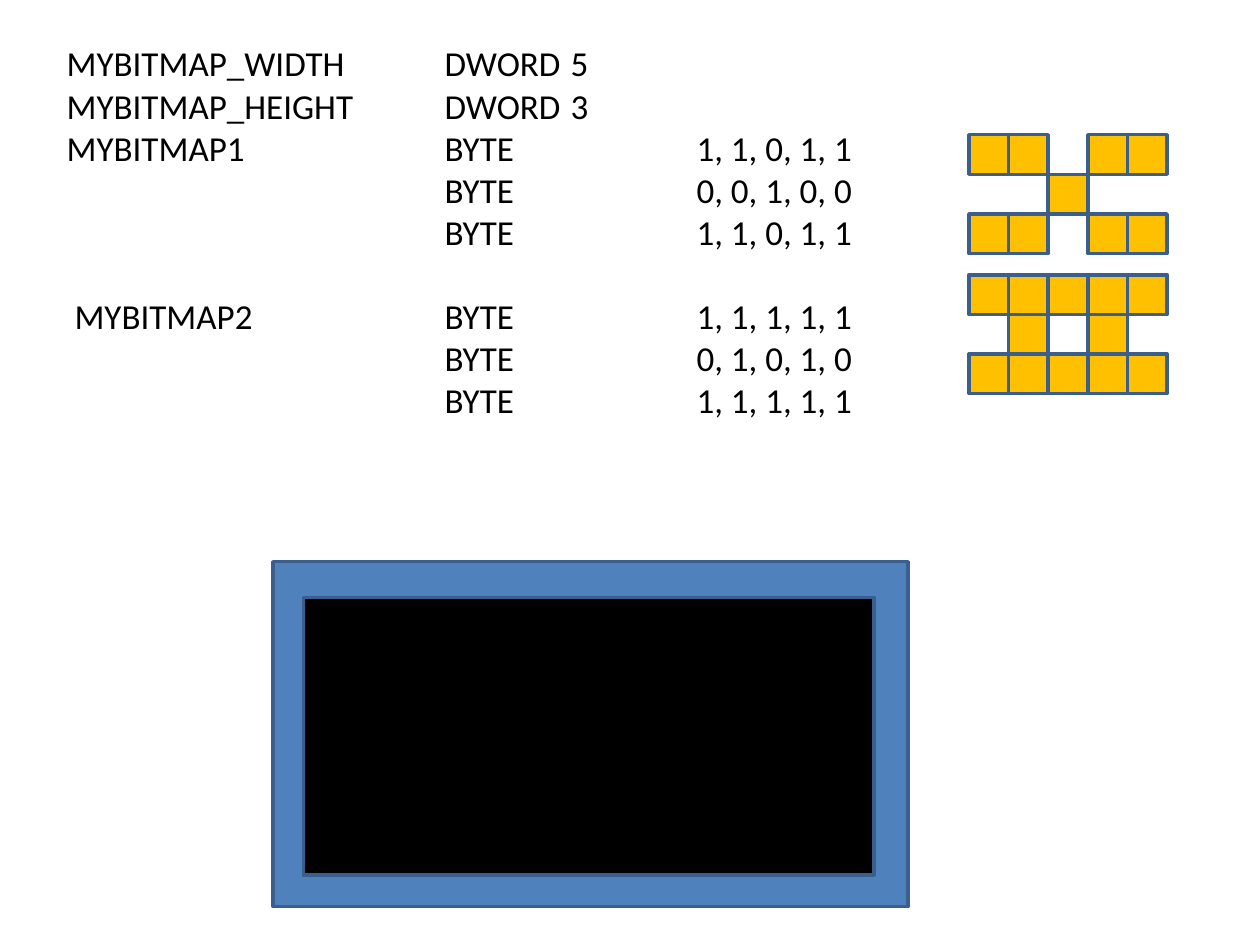
from pptx import Presentation
from pptx.dml.color import RGBColor
from pptx.enum.shapes import MSO_SHAPE
from pptx.enum.text import MSO_ANCHOR
from pptx.util import Pt
from lxml import etree

RECTANGLE = MSO_SHAPE.RECTANGLE
TOP = MSO_ANCHOR.TOP
DRAWING = "{http://schemas.openxmlformats.org/drawingml/2006/main}"
COLORS = {"text": "000000", "frame": "4F81BD", "screen": "000000",
          "pixel": "FFC000", "line": "3A5F8C"}

deck = Presentation()
deck.slide_width, deck.slide_height = Pt(720), Pt(540)
page = deck.slides.add_slide(deck.slide_layouts[6])


def add_rectangle(shapes, left, top, width, height, color):
    box = shapes.add_shape(RECTANGLE, Pt(left), Pt(top), Pt(width), Pt(height))
    box.shadow.inherit = False
    box.fill.solid()
    box.fill.fore_color.rgb = RGBColor.from_string(COLORS[color])
    box.line.color.rgb = RGBColor.from_string(COLORS["line"])
    box.line.width = Pt(2)
    return box


# Data declarations: name, type, value
declarations = [
    ("MYBITMAP_WIDTH", "DWORD", "5"),
    ("MYBITMAP_HEIGHT", "DWORD", "3"),
    ("MYBITMAP1", "BYTE", "1, 1, 0, 1, 1"),
    ("", "BYTE", "0, 0, 1, 0, 0"),
    ("", "BYTE", "1, 1, 0, 1, 1"),
    (" MYBITMAP2", "BYTE", "1, 1, 1, 1, 1"),
    ("", "BYTE", "0, 1, 0, 1, 0"),
    ("", "BYTE", "1, 1, 1, 1, 1"),
]
type_tab = 216
value_tabs = {"DWORD": 288, "BYTE": 360}

code_box = page.shapes.add_textbox(Pt(31), Pt(24), Pt(648), Pt(235))
frame = code_box.text_frame
frame.word_wrap = True
frame.vertical_anchor = TOP
frame.margin_top = frame.margin_bottom = 0
for index, (name, kind, value) in enumerate(declarations):
    para = frame.add_paragraph() if index else frame.paragraphs[0]
    para.line_spacing = Pt(24)
    para.space_before = Pt(24 if "MYBITMAP2" in name else 0)
    # Tab stops align the type and value columns
    tabs = etree.SubElement(para._p.get_or_add_pPr(), DRAWING + "tabLst")
    for stop in (type_tab, value_tabs[kind]):
        etree.SubElement(tabs, DRAWING + "tab", pos=str(int(Pt(stop))), algn="l")
    span = para.add_run()
    span.text = f"{name}\t{kind}\t{value}"
    span.font.name = "Calibri"
    span.font.size = Pt(20)
    span.font.color.rgb = RGBColor.from_string(COLORS["text"])

# Display: frame and screen
add_rectangle(page.shapes, 156, 321, 363, 197, "frame")
add_rectangle(page.shapes, 173.5, 341.5, 326, 158.5, "screen")

# Bitmaps: one square for each set bit
pixel_size = 22.65
bitmap_left = 553.7
bitmaps = [
    (77, ["11011", "00100", "11011"]),
    (157, ["11111", "01010", "11111"]),
]
for bitmap_top, rows in bitmaps:
    bitmap = page.shapes.add_group_shape()
    for row, bits in enumerate(rows):
        for column, bit in enumerate(bits):
            if bit == "1":
                add_rectangle(bitmap.shapes, bitmap_left + column * pixel_size,
                              bitmap_top + row * pixel_size,
                              pixel_size, pixel_size, "pixel")

deck.save("out.pptx")
